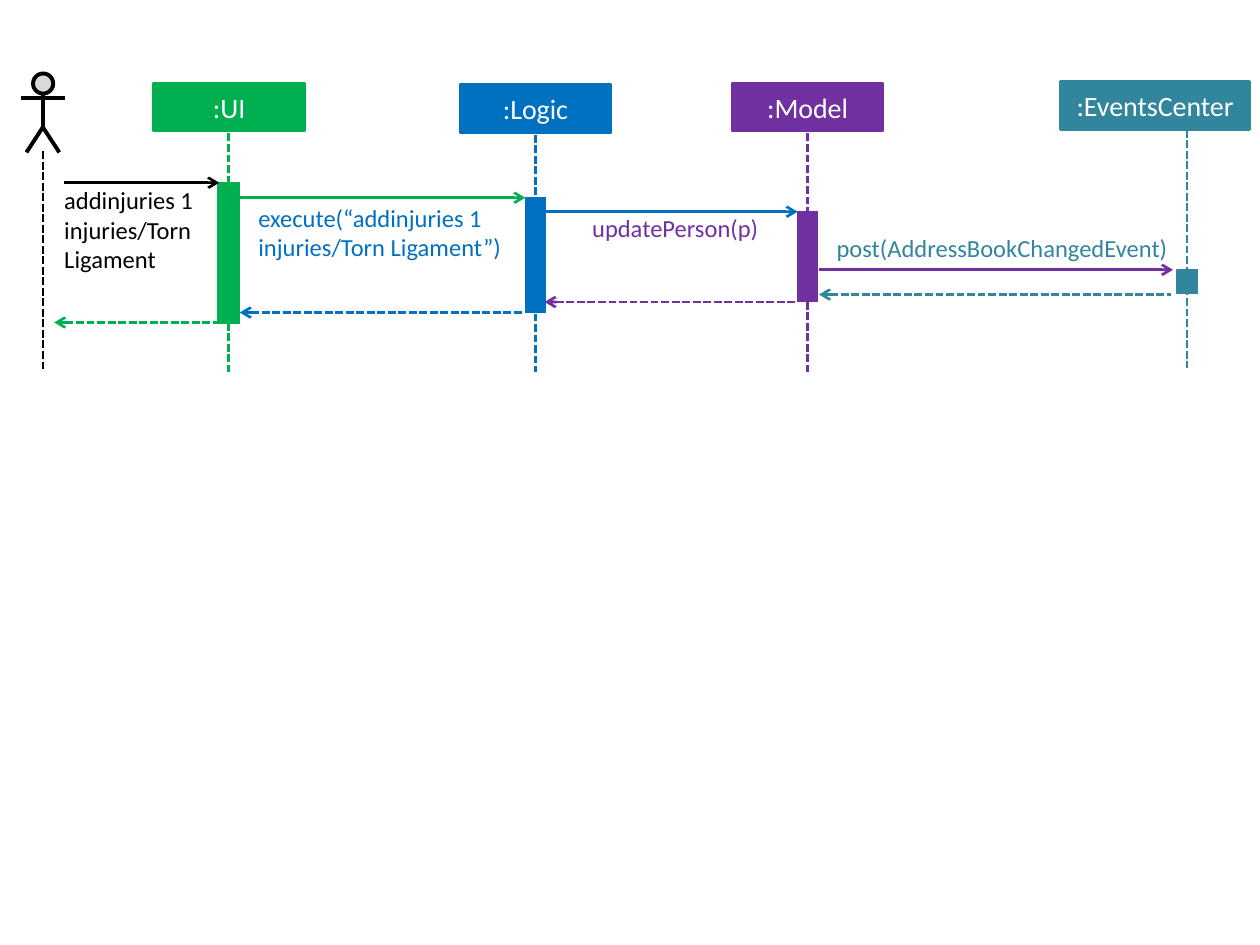
from dataclasses import dataclass

from lxml import etree
from pptx import Presentation
from pptx.dml.color import RGBColor
from pptx.enum.dml import MSO_LINE
from pptx.enum.shapes import MSO_CONNECTOR, MSO_SHAPE
from pptx.enum.text import MSO_ANCHOR, MSO_AUTO_SIZE, PP_ALIGN
from pptx.oxml.ns import qn
from pptx.util import Pt

STRAIGHT = MSO_CONNECTOR.STRAIGHT
RECTANGLE = MSO_SHAPE.RECTANGLE
CIRCLE = MSO_SHAPE.FLOWCHART_CONNECTOR
DASH = MSO_LINE.SQUARE_DOT
MIDDLE = MSO_ANCHOR.MIDDLE
CENTER = PP_ALIGN.CENTER
FIT_SHAPE = MSO_AUTO_SIZE.SHAPE_TO_FIT_TEXT

FONT = "Calibri"
BLACK, WHITE, GRAY = "000000", "FFFFFF", "D9D9D9"
GREEN, BLUE, PURPLE, TEAL = "00B050", "0070C0", "7030A0", "31859C"
HEADER_HEIGHT = 27.4
ACTOR_X = 24.5


@dataclass
class Participant:
    name: str
    color: str
    left: float
    top: float
    width: float
    life_x: float
    life_top: float
    life_bottom: float
    bar_top: float
    bar_width: float
    bar_height: float


@dataclass
class Message:
    color: str
    start: float
    end: float
    y: float
    is_return: bool = False


@dataclass
class Label:
    text: str
    color: str
    left: float
    top: float
    width: float
    height: float


PARTICIPANTS = [
    Participant(":UI", GREEN, 87.8, 47.5, 86.4, 130.6, 76.3, 212.4, 104.4, 12, 80.6),
    Participant(":Logic", BLUE, 262.8, 48.2, 86.4, 306, 77, 212.4, 113, 11.5, 65.5),
    Participant(":Model", PURPLE, 418.3, 47.5, 86.4, 461.5, 76.3, 212.4, 121, 11.5, 51.1),
    Participant(":EventsCenter", TEAL, 606, 46.6, 108.2, 678.4, 74.2, 210.2, 154.2, 11.5, 13.7),
]

MESSAGES = [
    Message(BLACK, 36.7, 125.3, 104.4),
    Message(GREEN, 137, 300.2, 113),
    Message(BLUE, 311.2, 455.8, 121),
    Message(PURPLE, 468, 670.3, 154.2),
    Message(TEAL, 468, 668.9, 168.3, True),
    Message(PURPLE, 311.2, 455.8, 172.6, True),
    Message(BLUE, 137, 298.8, 178.6, True),
    Message(GREEN, 31, 125.3, 184.3, True),
]

LABELS = [
    Label("addinjuries 1 injuries/Torn Ligament", BLACK, 36.7, 105.8, 85, 51),
    Label("execute(“addinjuries 1 injuries/Torn Ligament”)", BLUE, 147.6, 116, 140.4, 34),
    Label("updatePerson(p)", PURPLE, 338.4, 121.8, 112.3, 17),
    Label("post(AddressBookChangedEvent)", TEAL, 478.1, 133.2, 192.2, 17),
]


def rgb(color: str) -> RGBColor:
    return RGBColor.from_string(color)


def draw_line(shapes, start, end, color: str, width: float = 1.5,
              dashed: bool = False, arrow: str = ""):
    line = shapes.add_connector(STRAIGHT, *map(Pt, (*start, *end)))
    line.line.color.rgb = rgb(color)
    line.line.width = Pt(width)
    if dashed:
        line.line.dash_style = DASH
    properties = line._element.spPr
    if arrow:
        etree.SubElement(properties.find(qn("a:ln")), qn(arrow)).set("type", "arrow")
    etree.SubElement(properties, qn("a:effectLst"))


def draw_shape(shapes, kind, bounds, fill: str, outline: str, width: float):
    shape = shapes.add_shape(kind, *map(Pt, bounds))
    shape.shadow.inherit = False
    shape.fill.solid()
    shape.fill.fore_color.rgb = rgb(fill)
    shape.line.color.rgb = rgb(outline)
    shape.line.width = Pt(width)
    return shape


def write_text(box, text: str, size: float, color: str):
    para = box.text_frame.paragraphs[0]
    para.text = text
    para.font.name = FONT
    para.font.size = Pt(size)
    para.font.color.rgb = rgb(color)
    return para


def draw_participant(shapes, item: Participant):
    header = draw_shape(shapes, RECTANGLE, (item.left, item.top, item.width, HEADER_HEIGHT),
                        item.color, item.color, 1.5)
    header.text_frame.vertical_anchor = MIDDLE
    write_text(header, item.name, 16, WHITE).alignment = CENTER
    draw_line(shapes, (item.life_x, item.life_top), (item.life_x, item.life_bottom),
              item.color, dashed=True)
    bar_left = item.life_x - item.bar_width / 2
    draw_shape(shapes, RECTANGLE, (bar_left, item.bar_top, item.bar_width, item.bar_height),
               item.color, item.color, 0.75)


def draw_actor(shapes):
    actor = shapes.add_group_shape().shapes
    draw_shape(actor, CIRCLE, (ACTOR_X - 5.6, 42, 11.5, 11.5), GRAY, BLACK, 2.25)
    draw_line(actor, (ACTOR_X, 53.3), (ACTOR_X, 73.4), BLACK, 2.25)
    builder = actor.build_freeform(Pt(ACTOR_X - 9.4), Pt(87.1))
    builder.add_line_segments([(Pt(ACTOR_X), Pt(72.7)), (Pt(ACTOR_X + 9.4), Pt(87.1))], close=False)
    legs = builder.convert_to_shape()
    legs.shadow.inherit = False
    legs.fill.background()
    legs.line.color.rgb = rgb(BLACK)
    legs.line.width = Pt(2.25)
    draw_line(actor, (ACTOR_X - 12.6, 56.2), (ACTOR_X + 12.9, 56.2), BLACK, 2.25)
    draw_line(shapes, (ACTOR_X, 86.4), (ACTOR_X, 212.4), BLACK, dashed=True)


def draw_message(shapes, item: Message):
    draw_line(shapes, (item.start, item.y), (item.end, item.y), item.color,
              dashed=item.is_return, arrow="a:headEnd" if item.is_return else "a:tailEnd")


def draw_label(shapes, item: Label):
    box = shapes.add_textbox(*map(Pt, (item.left, item.top, item.width, item.height)))
    frame = box.text_frame
    frame.word_wrap = True
    frame.auto_size = FIT_SHAPE
    frame.margin_left = frame.margin_right = frame.margin_top = frame.margin_bottom = 0
    write_text(box, item.text, 14, item.color)


def main():
    """Build the sequence diagram page and save it."""
    deck = Presentation()
    deck.slide_width, deck.slide_height = Pt(720), Pt(540)
    shapes = deck.slides.add_slide(deck.slide_layouts[6]).shapes
    draw_actor(shapes)
    for participant in PARTICIPANTS:
        draw_participant(shapes, participant)
    for message in MESSAGES:
        draw_message(shapes, message)
    for label in LABELS:
        draw_label(shapes, label)
    deck.save("out.pptx")


main()
